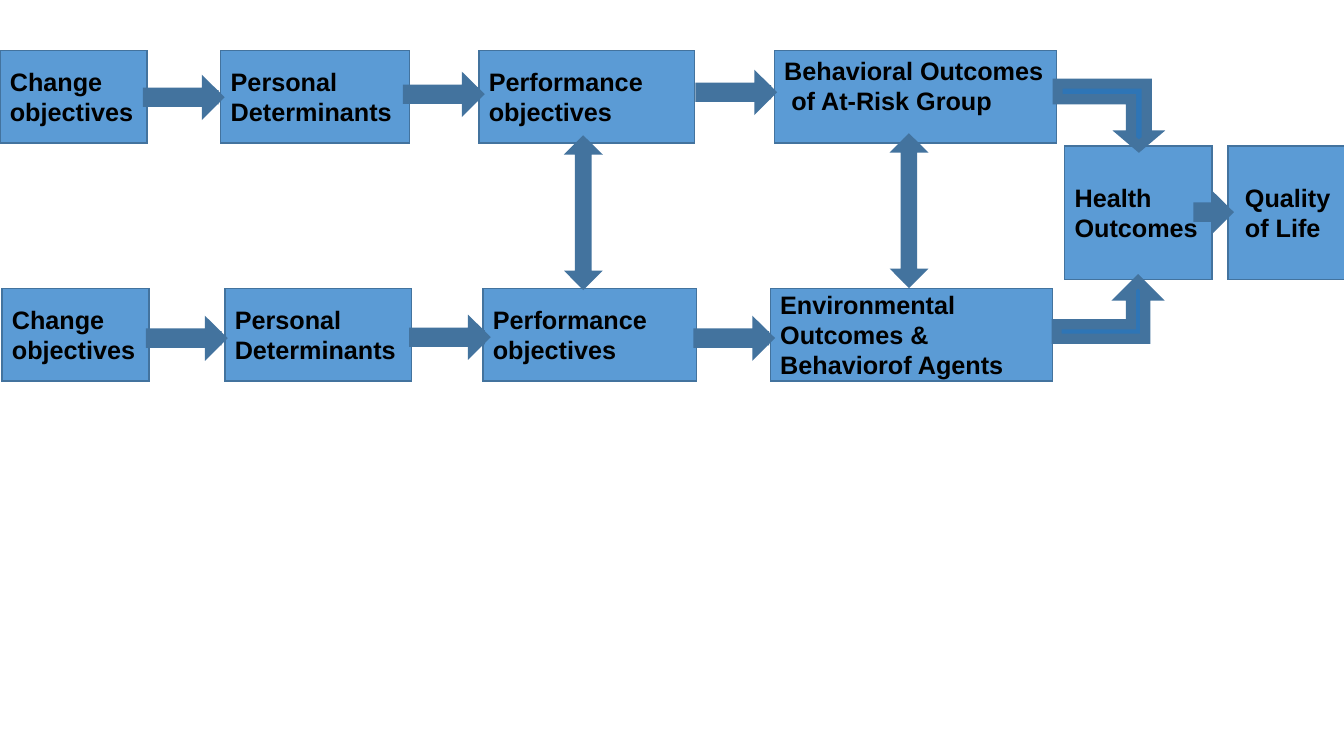
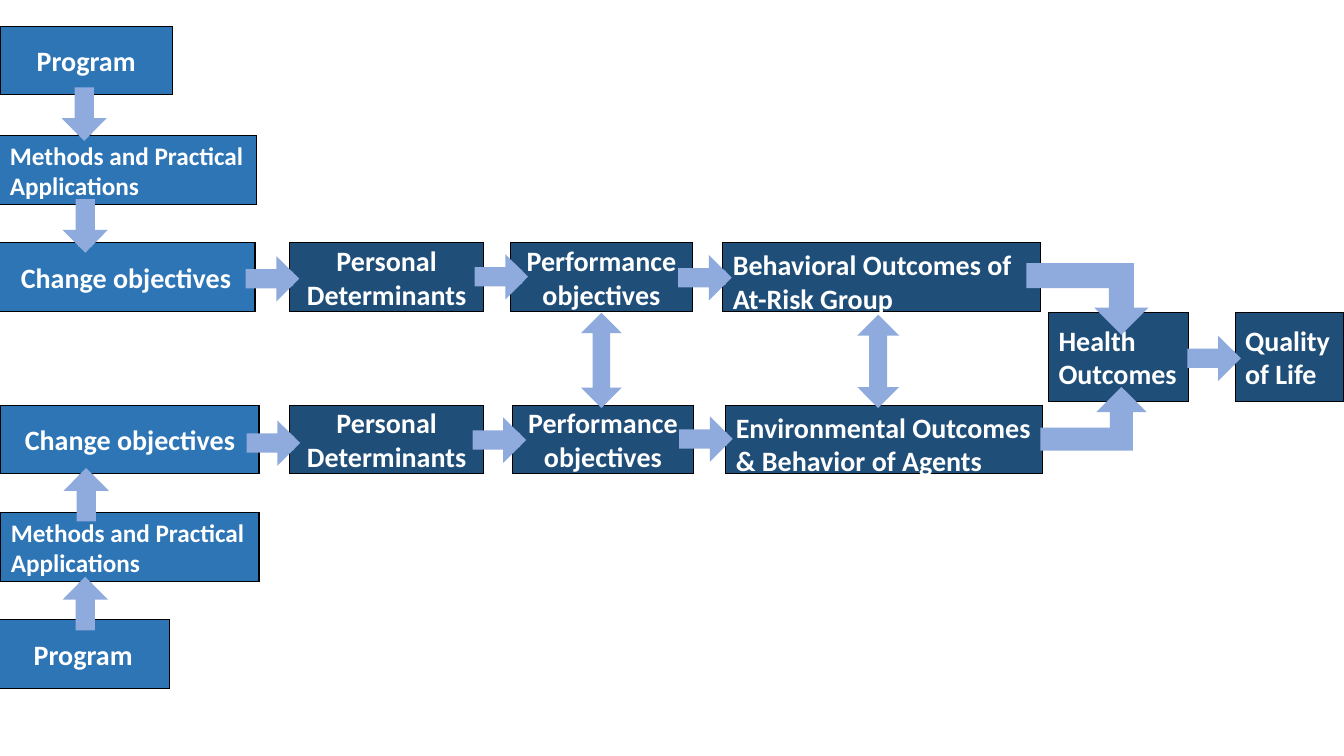
from lxml import etree
from pptx import Presentation
from pptx.dml.color import RGBColor
from pptx.enum.shapes import MSO_SHAPE
from pptx.enum.text import MSO_ANCHOR, PP_ALIGN
from pptx.oxml.ns import qn
from pptx.util import Inches, Pt

PROCESS, RECTANGLE = MSO_SHAPE.FLOWCHART_PROCESS, MSO_SHAPE.RECTANGLE
RIGHT, UP_DOWN, BENT = MSO_SHAPE.RIGHT_ARROW, MSO_SHAPE.UP_DOWN_ARROW, MSO_SHAPE.BENT_UP_ARROW
TOP, MIDDLE = MSO_ANCHOR.TOP, MSO_ANCHOR.MIDDLE
LEFT, CENTER = PP_ALIGN.LEFT, PP_ALIGN.CENTER

COLORS = {
    "sky": "5B9BD5", "steel": "43739E", "blue": "2E75B6", "navy": "1F4E79",
    "periwinkle": "8FAADC", "black": "000000", "white": "FFFFFF",
}

# Looks: box shape, fill, line, line width, text colour, font, size, anchor, alignment
ARIAL = dict(shape=PROCESS, fill="sky", line="steel", weight=1, color="black",
             font="Arial", size=18, anchor=MIDDLE, align=LEFT)
NAVY = dict(shape=RECTANGLE, fill="navy", line="black", weight=0.75, color="white",
            font="Calibri", size=20, anchor=MIDDLE, align=CENTER)
NAVY_LEFT = {**NAVY, "align": LEFT}
NAVY_TOP = {**NAVY_LEFT, "anchor": TOP}
BLUE = {**NAVY, "fill": "blue"}
BLUE_TOP = {**BLUE, "anchor": TOP, "align": LEFT, "size": 18}
ARIAL_TOP = {**ARIAL, "anchor": TOP}

# Arrow kinds: line width
ARROW_WEIGHTS = {RIGHT: 12, UP_DOWN: 10, BENT: 7.25}

# Rows: top, height, then boxes as (left, width, look, lines);
# a line given as (text, indent) is moved in by that many inches
CHANGE = ["Change", "objectives"]
PERFORMANCE = ["Performance objectives"]
METHODS = ["Methods and Practical Applications"]

SLIDES = [
    {
        "arrow_line": "steel", "arrow_fill": "sky", "bent_fill": "blue",
        "rows": [
            (0.5, 0.92, [
                (0, 1.46, ARIAL, CHANGE),
                (2.19, 1.87, ARIAL, ["Personal", "Determinants"]),
                (4.75, 2.14, ARIAL, PERFORMANCE),
                (7.68, 2.8, ARIAL_TOP, ["Behavioral Outcomes", ("of At-Risk Group", 0.07)]),
            ]),
            (2.86, 0.92, [
                (0.02, 1.46, ARIAL, CHANGE),
                (2.23, 1.85, ARIAL, ["Personal Determinants"]),
                (4.79, 2.12, ARIAL, PERFORMANCE),
                (7.64, 2.8, ARIAL, ["Environmental Outcomes & Behaviorof Agents"]),
            ]),
            (1.45, 1.32, [
                (10.56, 1.46, ARIAL, ["Health", "Outcomes"]),
                (12.18, 1.16, ARIAL, [("Quality", 0.07), ("of Life", 0.07)]),
            ]),
        ],
        # left, top, width, height, rotation
        "arrows": {
            RIGHT: [(left, top, 0.61, 0.05, 0) for left, top in [
                (1.5, 0.94), (4.08, 0.91), (6.98, 0.89),
                (1.53, 3.33), (4.14, 3.32), (6.96, 3.33),
            ]] + [(11.92, 2.08, 0.2, 0.05, 0)],
            UP_DOWN: [(5.76, 1.44, 0.05, 1.34, 0), (8.99, 1.42, 0.05, 1.34, 0)],
            BENT: [(10.48, 2.79, 0.95, 0.57, 0), (10.49, 0.83, 0.93, 0.62, 180)],
        },
        "down_bend": (0.25, 0.2, 0.17),
    },
    {
        "arrow_line": "periwinkle", "arrow_fill": "sky", "bent_fill": "periwinkle",
        "rows": [
            (0.26, 0.68, [(0, 1.71, BLUE, ["Program"])]),
            (1.34, 0.69, [(0, 2.54, BLUE_TOP, METHODS)]),
            (2.41, 0.68, [
                (-0.03, 2.56, BLUE, ["Change objectives"]),
                (2.87, 1.93, NAVY, ["Personal", "Determinants"]),
                (5.06, 1.81, NAVY, PERFORMANCE),
                (7.17, 3.15, NAVY_TOP, ["Behavioral Outcomes of At-Risk Group"]),
            ]),
            (4.02, 0.68, [
                (0.01, 2.56, BLUE, ["Change objectives"]),
                (2.87, 1.93, NAVY, ["Personal Determinants"]),
                (5.08, 1.8, NAVY, PERFORMANCE),
                (7.2, 3.14, NAVY_TOP, ["Environmental Outcomes & Behavior of Agents"]),
            ]),
            (5.08, 0.69, [(0.01, 2.56, BLUE_TOP, METHODS)]),
            (6.15, 0.68, [(-0.03, 1.71, BLUE, ["Program"])]),
            (3.1, 0.88, [
                (10.4, 1.39, NAVY_LEFT, ["Health", "Outcomes"]),
                (12.25, 1.08, NAVY_LEFT, ["Quality", "of Life"]),
            ]),
        ],
        "arrows": {
            RIGHT: [(left, top, 0.33, 0.05, turn) for left, top, turn in [
                (2.52, 2.74, 0), (4.79, 2.72, 0), (6.81, 2.73, 0),
                (2.53, 4.37, 0), (4.77, 4.34, 0), (6.82, 4.33, 0),
                (0.67, 1.09, 90), (0.68, 2.2, 90),
                (0.69, 4.9, 270), (0.68, 5.98, 270),
                (11.86, 3.53, 0),
            ]],
            UP_DOWN: [(5.93, 3.2, 0.07, 0.75, 0), (8.67, 3.22, 0.08, 0.73, 0)],
            BENT: [(10.37, 3.91, 0.88, 0.51, 0), (10.23, 2.66, 1.04, 0.59, 180)],
        },
        "down_bend": (0.25, 0.25, 0.25),
    },
]


def rgb(name):
    return RGBColor.from_string(COLORS[name])


def add_outlined(slide, kind, frame, fill, line, weight):
    """Add a flat shape with sharp corners."""
    shape = slide.shapes.add_shape(kind, *[Inches(value) for value in frame])
    shape.shadow.inherit = False
    shape.fill.solid()
    shape.fill.fore_color.rgb = rgb(fill)
    shape.line.color.rgb = rgb(line)
    shape.line.width = Pt(weight)
    outline = shape._element.spPr.find(qn("a:ln"))
    etree.SubElement(outline, qn("a:miter")).set("lim", "800000")
    return shape


def add_box(slide, frame, look, lines):
    shape = add_outlined(slide, look["shape"], frame, look["fill"], look["line"], look["weight"])
    text_frame = shape.text_frame
    text_frame.word_wrap = True
    text_frame.vertical_anchor = look["anchor"]
    for index, line in enumerate(lines):
        text, indent = line if isinstance(line, tuple) else (line, 0)
        paragraph = text_frame.add_paragraph() if index else text_frame.paragraphs[0]
        paragraph.text = text
        paragraph.alignment = look["align"]
        if indent:
            paragraph._p.get_or_add_pPr().set("marL", str(Inches(indent)))
        font = paragraph.font
        font.name, font.size, font.bold = look["font"], Pt(look["size"]), True
        font.color.rgb = rgb(look["color"])


def add_arrow(slide, kind, frame, rotation, content):
    fill = content["bent_fill" if kind == BENT else "arrow_fill"]
    shape = add_outlined(slide, kind, frame, fill, content["arrow_line"], ARROW_WEIGHTS[kind])
    shape.rotation = rotation
    # A bend turned upside down is mirrored so that it still starts at the left
    if kind == BENT and rotation:
        shape._element.spPr.find(qn("a:xfrm")).set("flipH", "1")
        for index, value in enumerate(content["down_bend"]):
            shape.adjustments[index] = value


def main():
    presentation = Presentation()
    presentation.slide_width, presentation.slide_height = Inches(13.33), Inches(7.5)
    for content in SLIDES:
        slide = presentation.slides.add_slide(presentation.slide_layouts[6])
        for top, height, boxes in content["rows"]:
            for left, width, look, lines in boxes:
                add_box(slide, (left, top, width, height), look, lines)
        for kind, arrows in content["arrows"].items():
            for *frame, rotation in arrows:
                add_arrow(slide, kind, frame, rotation, content)
    presentation.save("out.pptx")


if __name__ == "__main__":
    main()
